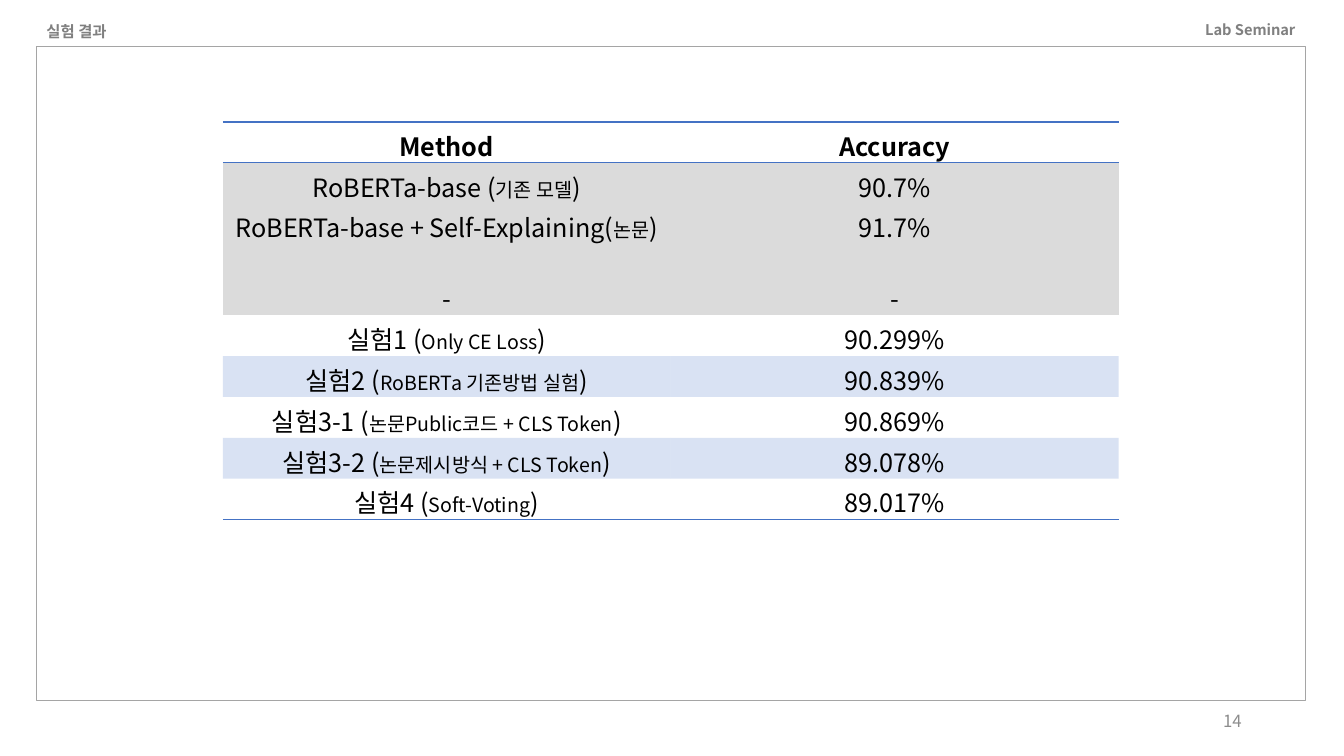
from dataclasses import dataclass

from lxml.etree import SubElement
from pptx import Presentation
from pptx.dml.color import RGBColor
from pptx.enum.shapes import MSO_SHAPE as Shape
from pptx.enum.text import MSO_ANCHOR as Anchor, MSO_AUTO_SIZE as AutoSize, PP_ALIGN as Align
from pptx.oxml import parse_xml
from pptx.oxml.ns import nsdecls, qn
from pptx.util import Pt

SECTION = "실험 결과"
SEMINAR = "Lab Seminar"
PAGE = "14"
HEADINGS = ("Method", "Accuracy")
RESULTS = [
    ("RoBERTa-base (", "기존 모델", "90.7%"),
    ("RoBERTa-base + Self-Explaining(", "논문", "91.7%"),
    ("-", "", "-"),
    ("실험1 (", "Only CE Loss", "90.299%"),
    ("실험2 (", "RoBERTa 기존방법 실험", "90.839%"),
    ("실험3-1 (", "논문Public코드 + CLS Token", "90.869%"),
    ("실험3-2 (", "논문제시방식 + CLS Token", "89.078%"),
    ("실험4 (", "Soft-Voting", "89.017%"),
]
BASELINE_ROWS = (1, 2, 3)
TINTED_ROWS = (5, 7)


@dataclass(frozen=True)
class Theme:
    font: str = "Noto Sans CJK KR"
    black: str = "000000"
    label: str = "808080"
    page: str = "8C8C8C"
    frame: str = "A5A5A5"
    baseline: str = "DBDBDB"
    accent: str = "4472C4"
    tint_alpha: int = 20
    body_size: float = 18
    note_size: float = 14
    page_size: float = 12
    section_size: float = 11
    seminar_size: float = 10.5


THEME = Theme()
NO_STYLE = "{2D5ABB26-0587-4C30-8999-92F81FD0307C}"


def write(text_frame, parts, *, color=THEME.black, bold=False, align=Align.LEFT,
          anchor=Anchor.TOP, wrap=True, line_spacing=None, space_after=0):
    text_frame.word_wrap = wrap
    text_frame.vertical_anchor = anchor
    paragraph = text_frame.paragraphs[0]
    paragraph.alignment = align
    paragraph.line_spacing = line_spacing
    paragraph.space_before = Pt(0)
    paragraph.space_after = Pt(space_after)
    for text, size in parts:
        run = paragraph.add_run()
        run.text = text
        run.font.name = THEME.font
        run.font.size = Pt(size)
        run.font.bold = bold
        run.font.color.rgb = RGBColor.from_string(color)
        SubElement(run.font._element, qn("a:ea")).set("typeface", THEME.font)


def fill_cell(cell, color, alpha=100):
    cell.fill.solid()
    cell.fill.fore_color.rgb = RGBColor.from_string(color)
    if alpha < 100:
        color_element = cell._tc.tcPr.find(".//" + qn("a:srgbClr"))
        SubElement(color_element, qn("a:alpha")).set("val", str(alpha * 1000))


def rule_cell(cell, sides):
    properties = cell._tc.get_or_add_tcPr()
    for index, side in enumerate(sides):
        properties.insert(index, parse_xml(
            f'<a:ln{side} {nsdecls("a")} w="12700"><a:solidFill>'
            f'<a:srgbClr val="{THEME.accent}"/></a:solidFill></a:ln{side}>'))


def method_parts(method, note):
    if not note:
        return [(method, THEME.body_size)]
    return [(method, THEME.body_size), (note, THEME.note_size), (")", THEME.body_size)]


def add_results(slide):
    row_count = len(RESULTS) + 1
    row_height = 29.2
    table = slide.shapes.add_table(
        row_count, len(HEADINGS), Pt(159.1), Pt(87.1), Pt(640), Pt(row_height * row_count)).table
    table.first_row = table.horz_banding = False
    table._tbl.tblPr.find(qn("a:tableStyleId")).text = NO_STYLE
    rows = [[[(heading, THEME.body_size)] for heading in HEADINGS]]
    rows += [[method_parts(method, note), [(accuracy, THEME.body_size)]]
             for method, note, accuracy in RESULTS]
    for row_index, row in enumerate(rows):
        table.rows[row_index].height = Pt(row_height)
        for column_index, parts in enumerate(row):
            cell = table.cell(row_index, column_index)
            write(cell.text_frame, parts, bold=row_index == 0, align=Align.CENTER)
            if row_index in BASELINE_ROWS:
                fill_cell(cell, THEME.baseline)
            elif row_index in TINTED_ROWS:
                fill_cell(cell, THEME.accent, THEME.tint_alpha)
            else:
                cell.fill.background()
            if row_index == 0:
                rule_cell(cell, "TB")
            elif row_index == row_count - 1:
                rule_cell(cell, "B")


def main():
    presentation = Presentation()
    presentation.slide_width, presentation.slide_height = Pt(960), Pt(540)
    slide = presentation.slides.add_slide(presentation.slide_layouts[5])

    page = slide.shapes.add_textbox(Pt(678), Pt(500.5), Pt(216), Pt(28.75))
    write(page.text_frame, [(PAGE, THEME.page_size)], color=THEME.page,
          align=Align.RIGHT, anchor=Anchor.MIDDLE)
    seminar = slide.shapes.add_textbox(Pt(491.8), Pt(10.8), Pt(440.6), Pt(19.4))
    write(seminar.text_frame, [(SEMINAR, THEME.seminar_size)], color=THEME.label,
          bold=True, align=Align.RIGHT, line_spacing=1.07, space_after=8)

    title = slide.shapes.title
    title.left, title.top, title.width, title.height = Pt(25.9), Pt(12.2), Pt(62.6), Pt(33.8)
    title.text_frame.auto_size = AutoSize.NONE
    write(title.text_frame, [(SECTION, THEME.section_size)], color=THEME.label,
          bold=True, wrap=False)

    frame = slide.shapes.add_shape(Shape.RECTANGLE, Pt(25.9), Pt(33.1), Pt(906.5), Pt(467.3))
    frame.shadow.inherit = False
    frame.fill.background()
    frame.line.color.rgb = RGBColor.from_string(THEME.frame)
    frame.line.width = Pt(1)

    add_results(slide)
    presentation.save("out.pptx")


if __name__ == "__main__":
    main()
